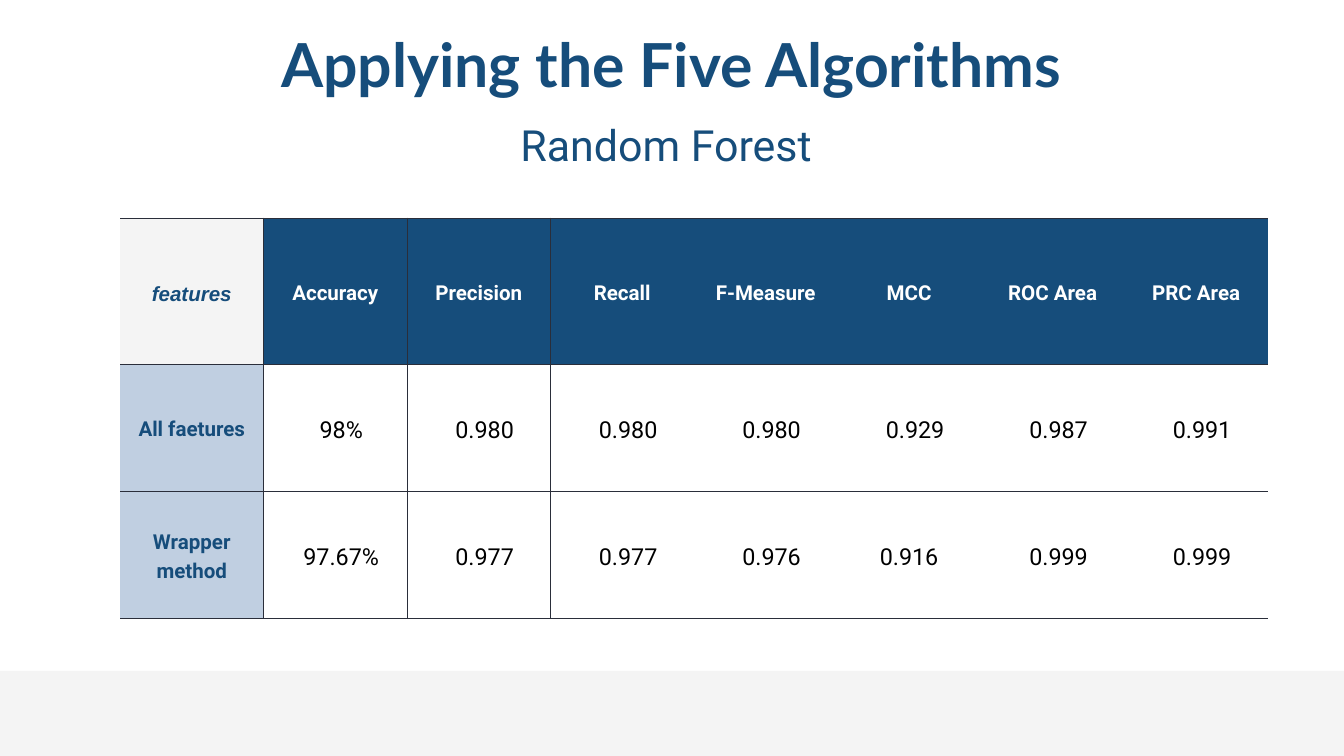
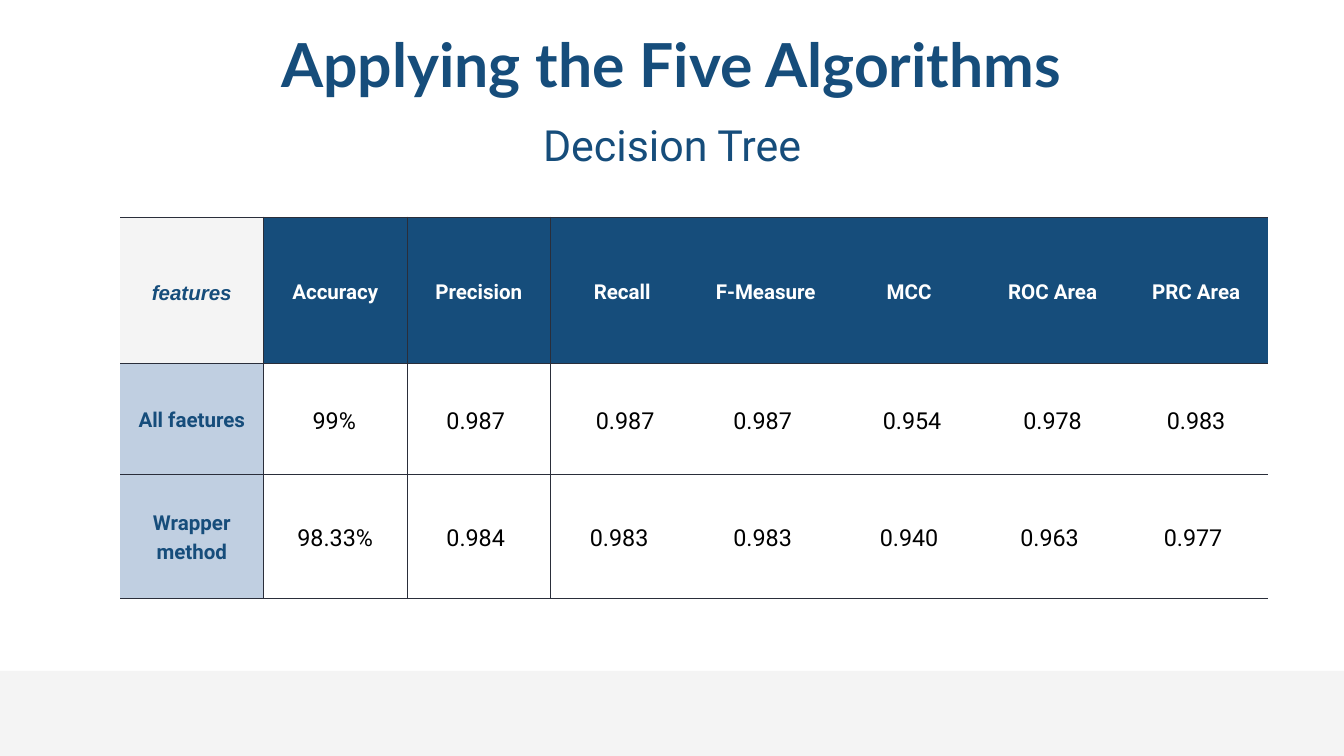
from dataclasses import dataclass

import pptx
import pptx.dml.color
import pptx.enum.shapes
import pptx.enum.text
import pptx.oxml
import pptx.oxml.ns
import pptx.presentation
import pptx.slide
import pptx.table
import pptx.text.text
import pptx.util

RGBColor = pptx.dml.color.RGBColor
NAVY = RGBColor(0x16, 0x4D, 0x7B)
PALE_BLUE = RGBColor(0xC0, 0xCF, 0xE1)
PALE_GREY = RGBColor(0xF4, 0xF4, 0xF4)
RULE = RGBColor(0x2A, 0x2E, 0x3A)
WHITE = RGBColor(0xFF, 0xFF, 0xFF)
BLACK = RGBColor(0x00, 0x00, 0x00)

PX_PER_INCH = 67.2
SLIDE_WIDTH, SLIDE_HEIGHT = 1344, 756
FOOTER_TOP = 671
TABLE_LEFT, TABLE_WIDTH = 120, 1148
HEADER_HEIGHT = 146
CELL_INSET = 14
RULE_WIDTH = pptx.util.Pt(0.75)
RULED_COLUMNS = 3  # a vertical rule closes each of the first columns

TITLE = "Applying the Five Algorithms"
METRICS = ["Accuracy", "Precision", "Recall", "F-Measure", "MCC", "ROC Area", "PRC Area"]


@dataclass(frozen=True)
class TextStyle:
    font: str
    size: int
    line_spacing: float
    color: RGBColor
    bold: bool = False
    italic: bool = False


TITLE_STYLE = TextStyle("Lato", 65, 84.5, NAVY, bold=True)
SUBTITLE_STYLE = TextStyle("Roboto", 46, 64.4, NAVY)
CORNER_STYLE = TextStyle("Arial", 22, 30.8, NAVY, bold=True, italic=True)
METRIC_STYLE = TextStyle("Roboto", 22, 30.8, WHITE, bold=True)
LABEL_STYLE = TextStyle("Roboto", 22, 30.8, NAVY, bold=True)
VALUE_STYLE = TextStyle("Roboto", 25, 35, BLACK)


@dataclass(frozen=True)
class ResultRow:
    """Scores of one feature set; shifts move each centred value sideways in px."""
    label: str
    height: int
    values: list[str]
    shifts: list[int]


@dataclass(frozen=True)
class AlgorithmSlide:
    algorithm: str
    subtitle_shift: int
    table_top: int
    rows: list[ResultRow]


ALGORITHM_SLIDES = [
    AlgorithmSlide("Random Forest", -6, 218, [
        ResultRow("All faetures", 127,
                  ["98%", "0.980", "0.980", "0.980", "0.929", "0.987", "0.991"],
                  [6] * 7),
        ResultRow("Wrapper method", 127,
                  ["97.67%", "0.977", "0.977", "0.976", "0.916", "0.999", "0.999"],
                  [6, 6, 6, 6, 0, 6, 6]),
    ]),
    AlgorithmSlide("Decision Tree", 0, 217, [
        ResultRow("All faetures", 111,
                  ["99%", "0.987", "0.987", "0.987", "0.954", "0.978", "0.983"],
                  [-1, -3, 3, -3, 3, 0, 0]),
        ResultRow("Wrapper method", 124,
                  ["98.33%", "0.984", "0.983", "0.983", "0.940", "0.963", "0.977"],
                  [0, -3, -3, -3, 0, -3, -3]),
    ]),
]


def px(length: int) -> pptx.util.Emu:
    return pptx.util.Emu(round(length * 914400 / PX_PER_INCH))


def side_margins(inset: int, shift: int) -> tuple[pptx.util.Emu, pptx.util.Emu]:
    """Left and right margins that move centred text sideways by shift."""
    return px(inset + max(2 * shift, 0)), px(inset + max(-2 * shift, 0))


def write_text(text_frame: pptx.text.text.TextFrame, text: str, style: TextStyle) -> None:
    text_frame.text = text
    paragraph = text_frame.paragraphs[0]
    paragraph.alignment = pptx.enum.text.PP_ALIGN.CENTER
    paragraph.line_spacing = pptx.util.Pt(style.line_spacing)
    font = paragraph.runs[0].font
    font.name = style.font
    font.size = pptx.util.Pt(style.size)
    font.bold = style.bold
    font.italic = style.italic
    font.color.rgb = style.color


def add_heading(slide: pptx.slide.Slide, box: tuple[int, int, int, int], text: str,
                style: TextStyle, shift: int = 0) -> None:
    text_frame = slide.shapes.add_textbox(*map(px, box)).text_frame
    text_frame.word_wrap = True
    text_frame.auto_size = pptx.enum.text.MSO_AUTO_SIZE.SHAPE_TO_FIT_TEXT
    text_frame.margin_left, text_frame.margin_right = side_margins(0, shift)
    text_frame.margin_top = text_frame.margin_bottom = 0
    write_text(text_frame, text, style)


def add_footer_band(slide: pptx.slide.Slide) -> None:
    band = slide.shapes.add_shape(
        pptx.enum.shapes.MSO_SHAPE.RECTANGLE,
        0, px(FOOTER_TOP), px(SLIDE_WIDTH), px(SLIDE_HEIGHT - FOOTER_TOP))
    band.shadow.inherit = False
    band.fill.solid()
    band.fill.fore_color.rgb = PALE_GREY
    band.line.fill.background()


def set_borders(cell: pptx.table._Cell, column: int) -> None:
    """Rule every row; rule vertically only between the first columns."""
    visible = {
        "lnL": 1 <= column <= RULED_COLUMNS,
        "lnR": column < RULED_COLUMNS,
        "lnT": True,
        "lnB": True,
    }
    properties = cell._tc.get_or_add_tcPr()
    for side, is_visible in visible.items():
        width = RULE_WIDTH if is_visible else 0
        paint = (f'<a:solidFill><a:srgbClr val="{RULE}"/></a:solidFill>'
                 if is_visible else "<a:noFill/>")
        properties.append(pptx.oxml.parse_xml(
            f'<a:{side} {pptx.oxml.ns.nsdecls("a")} w="{width}">{paint}</a:{side}>'))


def fill_cell(table: pptx.table.Table, row: int, column: int, text: str,
              style: TextStyle, fill: RGBColor | None = None, shift: int = 0) -> None:
    cell = table.cell(row, column)
    set_borders(cell, column)
    if fill is None:
        cell.fill.background()
    else:
        cell.fill.solid()
        cell.fill.fore_color.rgb = fill
    cell.vertical_anchor = pptx.enum.text.MSO_ANCHOR.MIDDLE
    cell.margin_left, cell.margin_right = side_margins(CELL_INSET, shift)
    cell.margin_top = cell.margin_bottom = px(CELL_INSET)
    write_text(cell.text_frame, text, style)


def add_results_table(slide: pptx.slide.Slide, top: int, rows: list[ResultRow]) -> None:
    heights = [HEADER_HEIGHT] + [row.height for row in rows]
    table = slide.shapes.add_table(
        len(heights), len(METRICS) + 1,
        px(TABLE_LEFT), px(top), px(TABLE_WIDTH), px(sum(heights))).table
    table.first_row = table.horz_banding = False
    for table_row, height in zip(table.rows, heights):
        table_row.height = px(height)

    fill_cell(table, 0, 0, "features", CORNER_STYLE, PALE_GREY)
    for column, metric in enumerate(METRICS, start=1):
        fill_cell(table, 0, column, metric, METRIC_STYLE, NAVY)
    for index, row in enumerate(rows, start=1):
        fill_cell(table, index, 0, row.label, LABEL_STYLE, PALE_BLUE)
        for column, (value, shift) in enumerate(zip(row.values, row.shifts), start=1):
            fill_cell(table, index, column, value, VALUE_STYLE, shift=shift)


def add_algorithm_slide(presentation: pptx.presentation.Presentation,
                        content: AlgorithmSlide) -> None:
    slide = presentation.slides.add_slide(presentation.slide_layouts[6])
    add_footer_band(slide)
    add_heading(slide, (192, 21, 959, 76), TITLE, TITLE_STYLE)
    add_heading(slide, (239, 110, 866, 56), content.algorithm, SUBTITLE_STYLE,
                content.subtitle_shift)
    add_results_table(slide, content.table_top, content.rows)


def main() -> None:
    presentation = pptx.Presentation()
    presentation.slide_width = px(SLIDE_WIDTH)
    presentation.slide_height = px(SLIDE_HEIGHT)
    for content in ALGORITHM_SLIDES:
        add_algorithm_slide(presentation, content)
    presentation.save("out.pptx")


if __name__ == "__main__":
    main()
